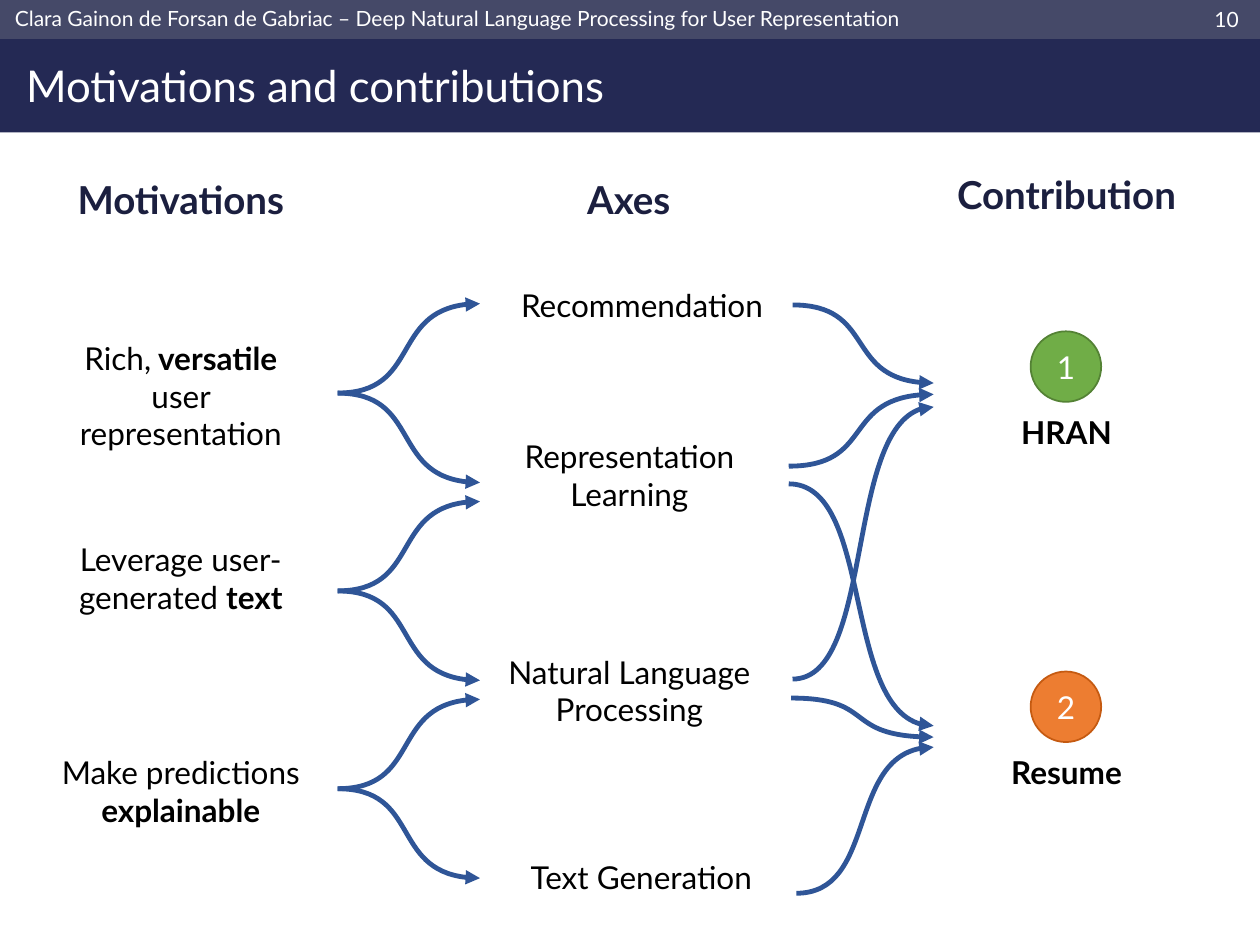
import dataclasses

import pptx
import pptx.dml.color
import pptx.enum.shapes
import pptx.enum.text
import pptx.oxml
import pptx.oxml.ns
import pptx.util

COLUMNS, ROWS = 100, 75
CELL = pptx.util.Inches(0.1)
ALIGN = pptx.enum.text.PP_ALIGN
ANCHOR = pptx.enum.text.MSO_ANCHOR
PRESET = pptx.enum.shapes.MSO_SHAPE


@dataclasses.dataclass(frozen=True)
class Theme:
    font: str = "Lato"
    band: str = "242954"
    strip: str = "454968"
    heading: str = "1B1F3F"
    body: str = "000000"
    light: str = "FFFFFF"
    arrow: str = "2F5597"
    green: str = "70AD47"
    green_edge: str = "548235"
    orange: str = "ED7D31"
    orange_edge: str = "C55A11"
    strip_size: float = 12
    title_size: float = 25
    heading_size: float = 22
    body_size: float = 18
    arrow_width: float = 2.75


THEME = Theme()


def grid(*cells):
    return [round(cell * CELL) for cell in cells]


def rgb(color):
    return pptx.dml.color.RGBColor.from_string(color)


def write(shape, text, size=THEME.body_size, color=THEME.body, bold=False,
          align=ALIGN.CENTER, anchor=ANCHOR.TOP, spacing=None):
    """Fill a shape with one paragraph; every part between ** marks is bold."""
    frame = shape.text_frame
    frame.word_wrap = True
    frame.vertical_anchor = anchor
    paragraph = frame.paragraphs[0]
    paragraph.alignment = align
    if spacing:
        paragraph.line_spacing = spacing
    for index, part in enumerate(text.split("**")):
        if part:
            run = paragraph.add_run()
            run.text = part
            run.font.name = THEME.font
            run.font.size = pptx.util.Pt(size)
            run.font.bold = bold or index % 2 == 1
            run.font.color.rgb = rgb(color)


def add_label(slide, box, text, **text_format):
    write(slide.shapes.add_textbox(*grid(*box)), text, **text_format)


def add_filled(slide, preset, box, fill, edge=None):
    shape = slide.shapes.add_shape(preset, *grid(*box))
    shape.shadow.inherit = False
    shape.fill.solid()
    shape.fill.fore_color.rgb = rgb(fill)
    if edge:
        shape.line.color.rgb = rgb(edge)
        shape.line.width = pptx.util.Pt(1)
    else:
        shape.line.fill.background()
    return shape


def add_curved_arrow(slide, start, end):
    """Draw an S-shaped arrow that leaves and arrives horizontally."""
    (x0, y0), (x1, y1) = grid(*start), grid(*end)
    builder = slide.shapes.build_freeform(x0, y0)
    builder.add_line_segments([(x1, y1)], close=False)
    arrow = builder.convert_to_shape()
    arrow.shadow.inherit = False
    arrow.fill.background()
    arrow.line.color.rgb = rgb(THEME.arrow)
    arrow.line.width = pptx.util.Pt(THEME.arrow_width)

    namespace = pptx.oxml.ns.nsdecls("a")
    width, top = x1 - x0, min(y0, y1)
    controls = [(round(0.58 * width), y0 - top),
                (round(0.35 * width), y1 - top), (width, y1 - top)]
    points = "".join(f'<a:pt x="{x}" y="{y}"/>' for x, y in controls)
    straight = next(arrow.element.iter(pptx.oxml.ns.qn("a:lnTo")))
    straight.getparent().replace(straight, pptx.oxml.parse_xml(
        f"<a:cubicBezTo {namespace}>{points}</a:cubicBezTo>"))
    line = arrow.element.spPr.find(pptx.oxml.ns.qn("a:ln"))
    line.append(pptx.oxml.parse_xml(f'<a:tailEnd {namespace} type="triangle"/>'))


def add_header(slide):
    add_filled(slide, PRESET.RECTANGLE, (0, 0, COLUMNS, 10.5), THEME.band)
    add_filled(slide, PRESET.RECTANGLE, (0, 0, COLUMNS, 3.1), THEME.strip)
    strip_format = dict(size=THEME.strip_size, color=THEME.light,
                        anchor=ANCHOR.MIDDLE)
    add_label(slide, (0.2, -0.6, 82.7, 4.1),
              "Clara Gainon de Forsan de Gabriac – Deep Natural Language "
              "Processing for User Representation",
              align=ALIGN.LEFT, **strip_format)
    add_label(slide, (94.1, -0.6, 5.2, 4.2), "10",
              align=ALIGN.RIGHT, **strip_format)
    add_label(slide, (1.1, 3.3, 83.2, 7.4), "Motivations and contributions",
              size=THEME.title_size, color=THEME.light, align=ALIGN.LEFT,
              anchor=ANCHOR.MIDDLE, spacing=0.9)


def add_column_headings(slide):
    for heading, left, top, width in (("Motivations", 2.1, 12.4, 24.5),
                                      ("Axes", 37.3, 12.4, 25.2),
                                      ("Contribution", 74.2, 12, 20.9)):
        add_label(slide, (left, top, width, 7.3), heading, bold=True,
                  size=THEME.heading_size, color=THEME.heading,
                  anchor=ANCHOR.MIDDLE, spacing=0.9)


def add_motivations(slide):
    """Each motivation forks to the axis above and the axis below it."""
    fork_top, fork_pitch, reach, rise = 31.2, 15.7, 11.3, 7.1
    motivations = (("Rich,** versatile **user representation", 26.4),
                   ("Leverage user-generated **text**", 42.4),
                   ("Make predictions **explainable**", 59.3))
    for index, (motivation, top) in enumerate(motivations):
        add_label(slide, (3.1, top, 22.5, 7.1), motivation)
        fork = (26.8, fork_top + index * fork_pitch)
        for arm in (-rise, rise):
            add_curved_arrow(slide, fork, (fork[0] + reach, fork[1] + arm))


def add_axes(slide):
    for axis, left, top, width, height in (
            ("Recommendation", 39.7, 22.2, 22.5, 4),
            ("Representation Learning", 38.7, 34.2, 22.5, 7.1),
            ("Natural Language Processing", 38.7, 51.3, 22.5, 7.1),
            ("Text Generation", 38.6, 67.6, 24.6, 4)):
        add_label(slide, (left, top, width, height), axis)

    arrow_end = 74.1
    for start, end_row in (((62.9, 24.2), 30.4), ((62.6, 37), 31.3),
                           ((62.9, 53.9), 32.3), ((62.6, 38.4), 57.6),
                           ((62.8, 55.4), 58.5), ((63.2, 70.9), 59.3)):
        add_curved_arrow(slide, start, (arrow_end, end_row))


def add_contributions(slide):
    for number, name, top, fill, edge in (
            ("1", "HRAN", 26.3, THEME.green, THEME.green_edge),
            ("2", "Resume", 53.3, THEME.orange, THEME.orange_edge)):
        badge = add_filled(slide, PRESET.OVAL, (81.8, top, 5.6, 5.6), fill, edge)
        write(badge, number, color=THEME.light, anchor=ANCHOR.MIDDLE)
        add_label(slide, (77.3, top + 6, 14.7, 4), name, bold=True)


def main():
    deck = pptx.Presentation()
    deck.slide_width, deck.slide_height = grid(COLUMNS, ROWS)
    slide = deck.slides.add_slide(deck.slide_layouts[6])
    add_header(slide)
    add_column_headings(slide)
    add_motivations(slide)
    add_axes(slide)
    add_contributions(slide)
    deck.save("out.pptx")


if __name__ == "__main__":
    main()
